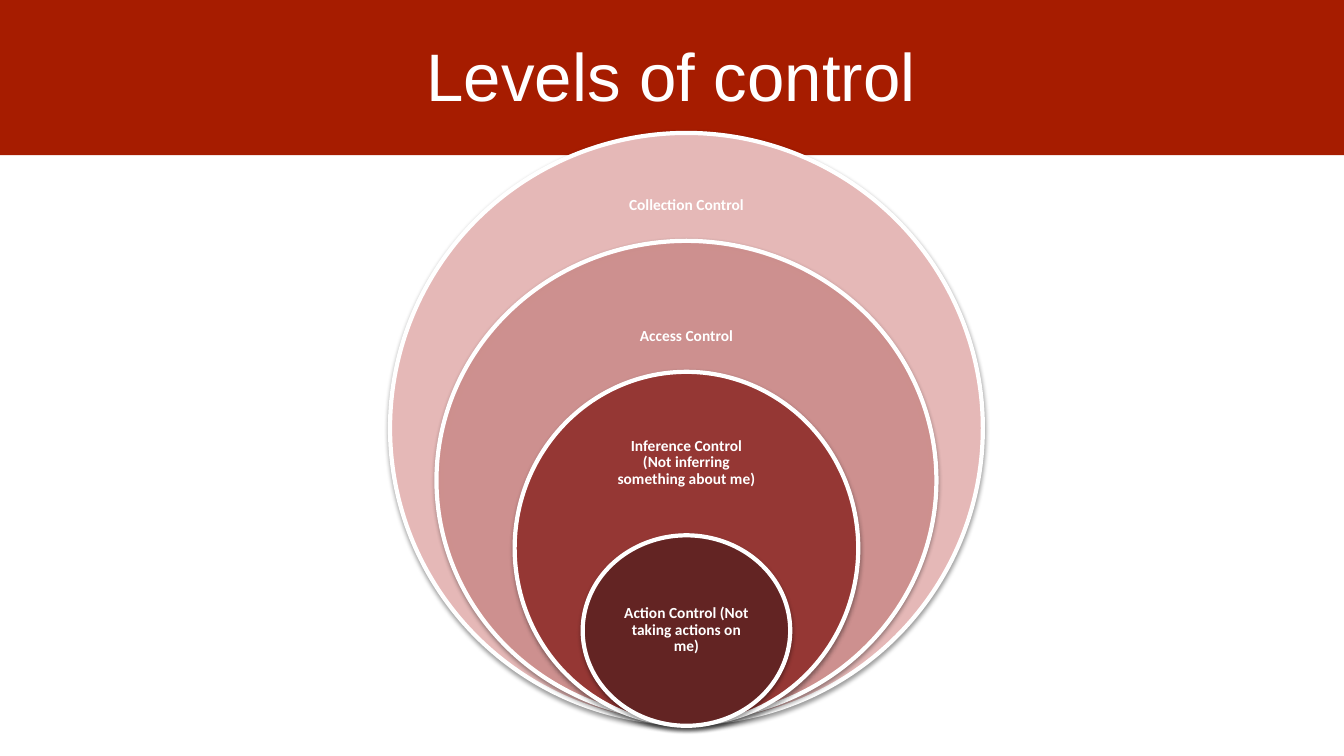
from lxml.etree import SubElement
from pptx import Presentation
from pptx.dml.color import RGBColor
from pptx.enum.shapes import MSO_SHAPE
from pptx.enum.text import MSO_ANCHOR, PP_ALIGN
from pptx.oxml.ns import qn
from pptx.util import Cm, Pt

RED = RGBColor(0xA6, 0x1C, 0x00)
WHITE = RGBColor(0xFF, 0xFF, 0xFF)
PALE = RGBColor(0xE5, 0xB8, 0xB7)
ROSE = RGBColor(0xD9, 0x95, 0x93)
BRICK = RGBColor(0x95, 0x37, 0x34)
WINE = RGBColor(0x63, 0x24, 0x23)

MID = 17.3  # shared centre line of the circles, in cm
LABEL_H = 2.2


def write(frame, text, margins, fonts, spacing):
    """Fill a frame with one centred, formatted paragraph."""
    frame.word_wrap = True
    frame.vertical_anchor = MSO_ANCHOR.MIDDLE
    frame.margin_left = frame.margin_right = Cm(margins[0])
    frame.margin_top = frame.margin_bottom = Cm(margins[1])
    para = frame.paragraphs[0]
    para.text = text
    para.alignment = PP_ALIGN.CENTER
    para.line_spacing = spacing
    for key, value in fonts.items():
        setattr(para.runs[0].font, key, value)
    para.runs[0].font.color.rgb = WHITE


def shade(shape):
    """Add a soft shadow that falls straight down."""
    effects = SubElement(shape._element.spPr, qn("a:effectLst"))
    outer = SubElement(effects, qn("a:outerShdw"), blurRad=str(Pt(3.1)),
                       dist=str(Pt(1.6)), dir="5400000", rotWithShape="0")
    black = SubElement(outer, qn("a:srgbClr"), val="000000")
    SubElement(black, qn("a:alpha"), val="38000")


deck = Presentation()
deck.slide_width, deck.slide_height = Cm(33.87), Cm(19.05)
slide = deck.slides.add_slide(deck.slide_layouts[5])
shapes = slide.shapes
title = shapes.title

# Header band
band = shapes.add_shape(MSO_SHAPE.RECTANGLE, 0, 0, deck.slide_width, Cm(3.91))
band.shadow.inherit = False
band.fill.solid()
band.fill.fore_color.rgb = RED
band.line.fill.background()

# Nested circles: top, width, height, fill, opacity, label, label centre and width
levels = [
    (3.35, 14.94, 14.88, PALE, 100, "Collection Control", 5.18, 4.2),
    (6.07, 12.6, 12.07, ROSE, 82, "Access Control", 8.47, 4.4),
    (9.37, 8.66, 8.89, BRICK, 100,
     "Inference Control (Not inferring something about me)", 11.66, 4.04),
    (13.49, 5.23, 4.8, WINE, 100,
     "Action Control (Not taking actions on me)", 15.88, 3.68),
]
bold = {"name": "Calibri", "size": Pt(11), "bold": True}
for top, width, height, color, solid, text, center, span in levels:
    ring = shapes.add_shape(MSO_SHAPE.OVAL, Cm(MID - width / 2), Cm(top),
                            Cm(width), Cm(height))
    ring.fill.solid()
    ring.fill.fore_color.rgb = color
    if solid < 100:
        tint = ring._element.spPr.find(qn("a:solidFill"))[0]
        SubElement(tint, qn("a:alpha"), val=str(solid * 1000))
    ring.line.color.rgb = WHITE
    ring.line.width = Pt(3)
    shade(ring)

    label = shapes.add_textbox(Cm(MID - span / 2), Cm(center - LABEL_H / 2),
                               Cm(span), Cm(LABEL_H))
    write(label.text_frame, text, (0.23, 0.23), bold, 0.9)

# Title, in front of the band
shapes._spTree.append(title._element)
title.left, title.top = Cm(1.14), Cm(0)
title.width, title.height = Cm(31.55), Cm(3.76)
write(title.text_frame, "Levels of control", (0.25, 0.13),
      {"name": "Arial", "size": Pt(48)}, 1.0)

deck.save("out.pptx")
